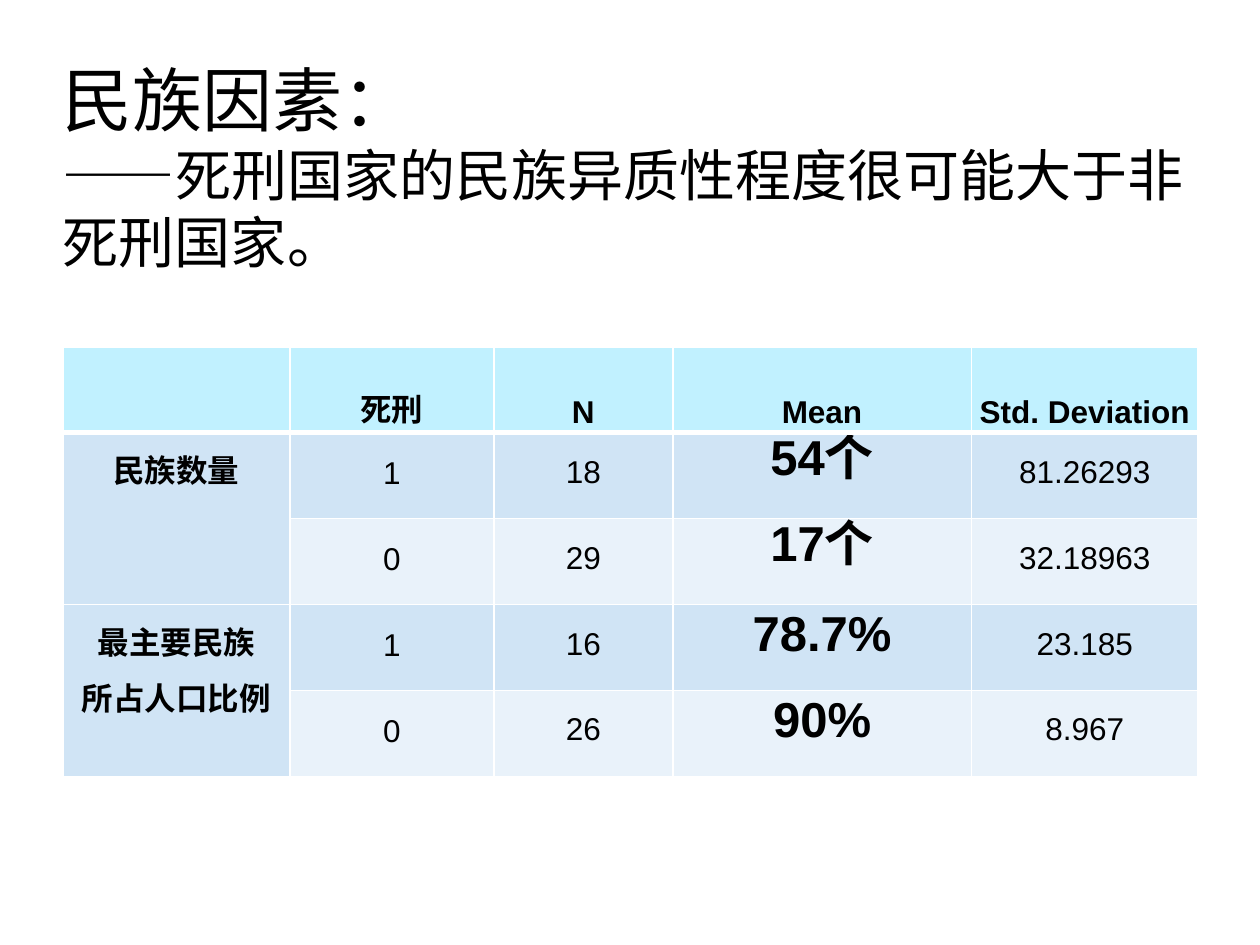
from lxml.etree import SubElement
from pptx import Presentation
from pptx.dml.color import RGBColor
from pptx.enum.text import MSO_ANCHOR, PP_ALIGN
from pptx.oxml.ns import qn
from pptx.util import Inches, Pt

HEADER = ["", "死刑", "N", "Mean", "Std. Deviation"]
GROUPS = [
    (["民族数量"], [["1", "18", "54个", "81.26293"], ["0", "29", "17个", "32.18963"]]),
    (["最主要民族", "所占人口比例"], [["1", "16", "78.7%", "23.185"], ["0", "26", "90%", "8.967"]]),
]
COLUMN_SHARES = [0.18, 0.162, 0.142, 0.237, 0.18]
ROW_SHARE = 0.091
LINE = Pt(16)
MARGIN = Inches(0.02)


def color(value):
    """Turn a hex string into a colour."""
    return RGBColor.from_string(value)


def apply(target, values):
    """Set each format value on the target."""
    for name, value in values.items():
        setattr(target, name, value)


class SlideBuilder:
    """Holds the style and the current slide."""

    ink, header, band, light, border = "000000", "C1F1FF", "D0E4F5", "E9F2FA", "FFFFFF"
    plain = {"name": "Arial", "size": Pt(18), "bold": False}
    strong = {**plain, "bold": True}
    large = {**strong, "size": Pt(28)}

    def __init__(self, presentation):
        """Add a blank slide."""
        self.width, self.height = presentation.slide_width, presentation.slide_height
        self.slide = presentation.slides.add_slide(presentation.slide_layouts[6])

    def box(self, left, top, width, height):
        """Turn shares of the slide into lengths."""
        return (int(left * self.width), int(top * self.height),
                int(width * self.width), int(height * self.height))

    def style(self, font, values):
        """Apply a text style in the ink colour."""
        apply(font, values)
        font.color.rgb = color(self.ink)

    def title(self, parts, *shares):
        """Add a title whose parts are split by line breaks."""
        frame = self.slide.shapes.add_textbox(*self.box(*shares)).text_frame
        apply(frame, {"word_wrap": True, "vertical_anchor": MSO_ANCHOR.MIDDLE, "margin_left": 0,
                      "margin_right": 0, "margin_top": 0, "margin_bottom": 0})
        paragraph = frame.paragraphs[0]
        for index, (text, size) in enumerate(parts):
            if index:
                paragraph.add_line_break()
            run = paragraph.add_run()
            run.text = text
            self.style(run.font, {**self.plain, "size": Pt(size)})

    def borders(self, cell, widths):
        """Draw the cell borders with widths in points."""
        properties = cell._tc.get_or_add_tcPr()
        for side, width in zip("LRTB", widths):
            line = SubElement(properties, qn(f"a:ln{side}"), w=str(Pt(width)))
            fill = SubElement(line, qn("a:solidFill"))
            SubElement(fill, qn("a:srgbClr"), val=self.border)

    def cell(self, cell, lines, fill, font, anchor, widths):
        """Fill and format one cell."""
        lowered = LINE if anchor == MSO_ANCHOR.TOP else 0
        apply(cell, {"margin_left": MARGIN, "margin_right": MARGIN, "margin_top": MARGIN + lowered,
                     "margin_bottom": MARGIN, "vertical_anchor": anchor})
        self.borders(cell, widths)
        cell.fill.solid()
        cell.fill.fore_color.rgb = color(fill)
        cell.text = "\n".join(lines)
        for index, paragraph in enumerate(cell.text_frame.paragraphs):
            apply(paragraph, {"alignment": PP_ALIGN.CENTER, "line_spacing": LINE})
            if index:
                paragraph.space_before = LINE
            self.style(paragraph.font, font)

    def table(self, left, top):
        """Add the grouped statistics table."""
        rows = 1 + sum(len(group) for _, group in GROUPS)
        shares = self.box(left, top, sum(COLUMN_SHARES), rows * ROW_SHARE)
        table = self.slide.shapes.add_table(rows, len(HEADER), *shares).table
        for column, share in zip(table.columns, COLUMN_SHARES):
            column.width = int(share * self.width)
        for column, text in enumerate(HEADER):
            self.cell(table.cell(0, column), [text], self.header, self.strong,
                      MSO_ANCHOR.BOTTOM, (1, 1, 1, 3))
        row = 1
        for label, group in GROUPS:
            table.cell(row, 0).merge(table.cell(row + len(group) - 1, 0))
            for offset, values in enumerate(group):
                fill = self.light if offset else self.band
                widths = (1, 1, 3 if row == 1 else 1, 1)
                self.cell(table.cell(row, 0), [] if offset else label, self.band, self.strong,
                          MSO_ANCHOR.TOP, widths)
                for column, text in enumerate(values, 1):
                    font = self.large if HEADER[column] == "Mean" else self.plain
                    anchor = MSO_ANCHOR.TOP if column == 1 else MSO_ANCHOR.MIDDLE
                    self.cell(table.cell(row, column), [text], fill, font, anchor, widths)
                row += 1


def main():
    """Build and save the slide."""
    presentation = Presentation()
    apply(presentation, {"slide_width": Inches(10), "slide_height": Inches(7.5)})
    builder = SlideBuilder(presentation)
    builder.title([("民族因素：", 40), ("——死刑国家的民族异质性程度很可能大于非死刑国家。", 32)],
                  0.05, 0.03, 0.9, 0.29)
    builder.table(0.05, 0.367)
    presentation.save("out.pptx")


if __name__ == "__main__":
    main()
